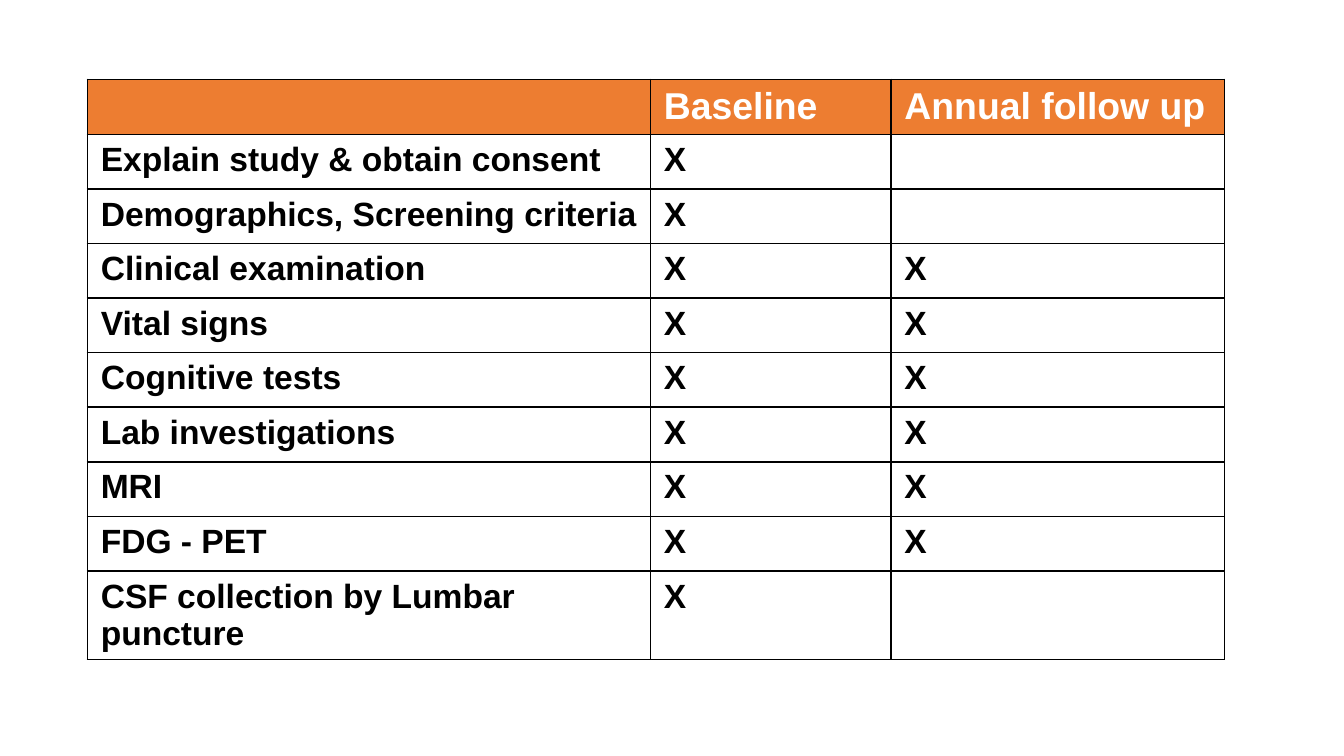
from dataclasses import dataclass

import lxml.etree
import pptx
import pptx.dml.color
import pptx.oxml.ns
import pptx.table
import pptx.util

COLORS = {"header": "ED7D31", "body": "FFFFFF", "header_text": "FFFFFF", "text": "000000"}
SLIDE_WIDTH = 10
SLIDE_HEIGHT = SLIDE_WIDTH * 9 / 16
COLUMN_WIDTHS = (4.19, 1.79, 2.48)
TABLE_HEIGHT = 4.06


@dataclass(frozen=True)
class Procedure:
    label: str
    baseline: bool = True
    follow_up: bool = True

    def texts(self) -> tuple[str, ...]:
        return (self.label, *("X" if done else "" for done in (self.baseline, self.follow_up)))


@dataclass(frozen=True)
class CellStyle:
    fill: str
    text: str
    size: int


HEADER_STYLE = CellStyle(COLORS["header"], COLORS["header_text"], 20)
BODY_STYLE = CellStyle(COLORS["body"], COLORS["text"], 18)
HEADINGS = ("", "Baseline", "Annual follow up")
PROCEDURES = (
    Procedure("Explain study & obtain consent", follow_up=False),
    Procedure("Demographics, Screening criteria", follow_up=False),
    Procedure("Clinical examination"),
    Procedure("Vital signs"),
    Procedure("Cognitive tests"),
    Procedure("Lab investigations"),
    Procedure("MRI"),
    Procedure("FDG - PET"),
    Procedure("CSF collection by Lumbar puncture", follow_up=False),
)


def add_borders(cell: pptx.table._Cell) -> None:
    properties = cell._tc.get_or_add_tcPr()
    for position, side in enumerate(("lnL", "lnR", "lnT", "lnB")):
        border = lxml.etree.Element(pptx.oxml.ns.qn(f"a:{side}"), w=str(pptx.util.Pt(1)))
        fill = lxml.etree.SubElement(border, pptx.oxml.ns.qn("a:solidFill"))
        lxml.etree.SubElement(fill, pptx.oxml.ns.qn("a:srgbClr"), val=COLORS["text"])
        properties.insert(position, border)


def fill_cell(cell: pptx.table._Cell, text: str, style: CellStyle) -> None:
    cell.fill.solid()
    cell.fill.fore_color.rgb = pptx.dml.color.RGBColor.from_string(style.fill)
    add_borders(cell)
    cell.text_frame.text = text
    for run in cell.text_frame.paragraphs[0].runs:
        run.font.name = "Arial"
        run.font.size = pptx.util.Pt(style.size)
        run.font.bold = True
        run.font.color.rgb = pptx.dml.color.RGBColor.from_string(style.text)


def main() -> None:
    presentation = pptx.Presentation()
    presentation.slide_width = pptx.util.Inches(SLIDE_WIDTH)
    presentation.slide_height = pptx.util.Inches(SLIDE_HEIGHT)
    slide = presentation.slides.add_slide(presentation.slide_layouts[6])

    schedule = slide.shapes.add_table(
        len(PROCEDURES) + 1,
        len(HEADINGS),
        pptx.util.Inches(0.65),
        pptx.util.Inches(0.59),
        pptx.util.Inches(sum(COLUMN_WIDTHS)),
        pptx.util.Inches(TABLE_HEIGHT),
    ).table
    for column, width in zip(schedule.columns, COLUMN_WIDTHS):
        column.width = pptx.util.Inches(width)

    rows = [(HEADINGS, HEADER_STYLE)]
    rows += [(procedure.texts(), BODY_STYLE) for procedure in PROCEDURES]
    for row, (texts, style) in zip(schedule.rows, rows):
        for cell, text in zip(row.cells, texts):
            fill_cell(cell, text, style)

    presentation.save("out.pptx")


if __name__ == "__main__":
    main()
